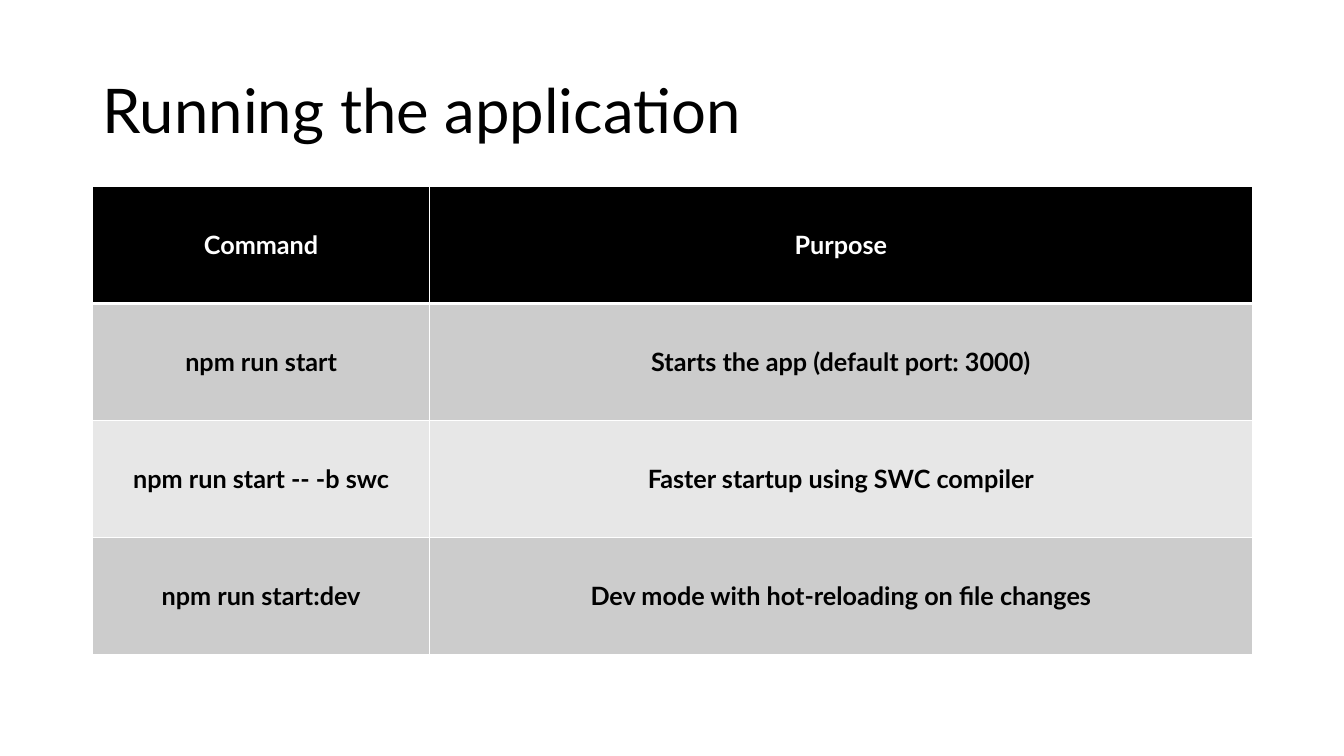
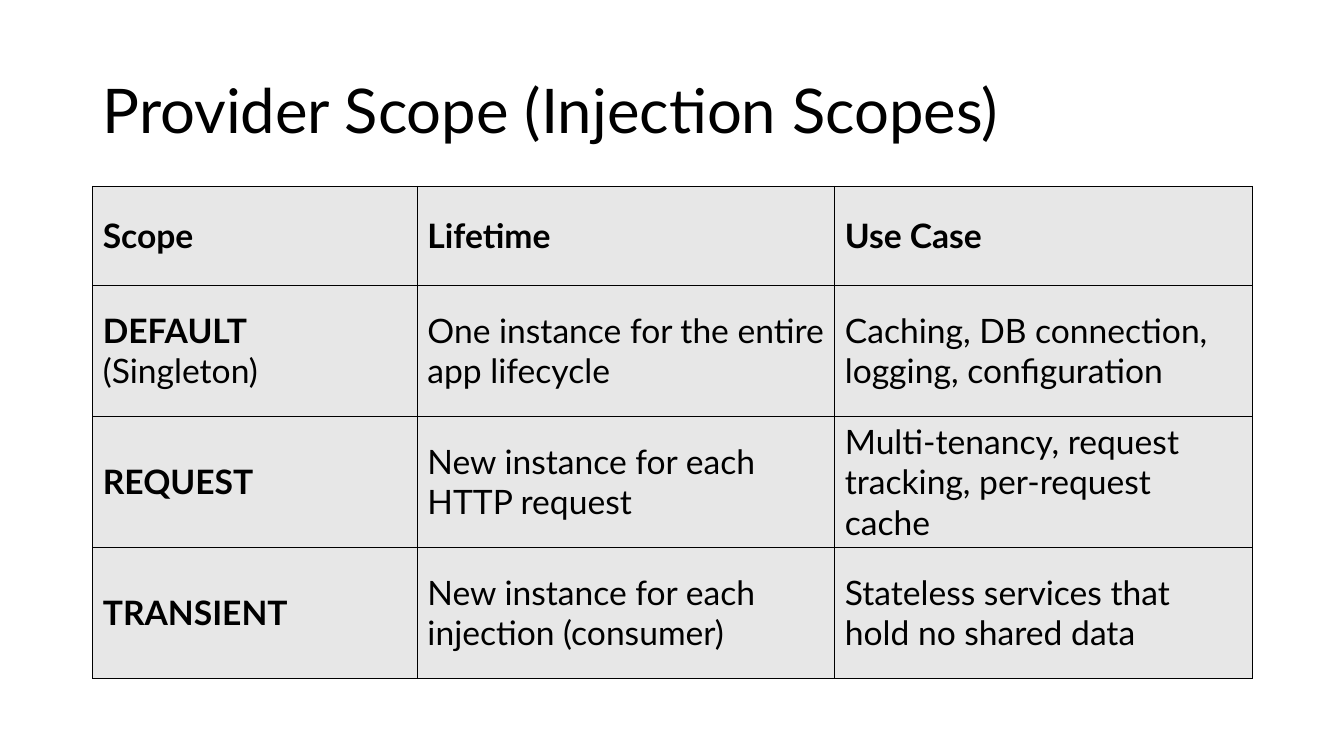
from dataclasses import dataclass

from lxml import etree
from pptx import Presentation
from pptx.dml.color import RGBColor
from pptx.enum import text
from pptx.oxml import ns
from pptx.util import Inches, Pt

FONT = "Lato"
BLACK, WHITE = "000000", "FFFFFF"
GRAY, LIGHT_GRAY = "CCCCCC", "E7E7E7"
LEFT, WIDTH = 0.92, 11.5
TITLE_TOP, TITLE_HEIGHT = 0.4, 1.45
TABLE_TOP = TITLE_TOP + TITLE_HEIGHT

COMMANDS = [
    ("Command", "Purpose"),
    ("npm run start", "Starts the app (default port: 3000)"),
    ("npm run start -- -b swc", "Faster startup using SWC compiler"),
    ("npm run start:dev", "Dev mode with hot-reloading on file changes"),
]
SCOPES = [
    ("Scope", "Lifetime", "Use Case"),
    ("DEFAULT| (Singleton)", "One instance for the entire app lifecycle",
     "Caching, DB connection, logging, configuration"),
    ("REQUEST", "New instance for each HTTP request",
     "Multi-tenancy, request tracking, per-request cache"),
    ("TRANSIENT", "New instance for each injection (consumer)",
     "Stateless services that hold no shared data"),
]


@dataclass
class TableStyle:
    size: int
    alignment: text.PP_ALIGN
    border: str
    fills: list
    header_color: str = BLACK
    header_rule: int = 1
    all_bold: bool = False
    margins: tuple = (0.1, 0.05)


COMMAND_STYLE = TableStyle(18, text.PP_ALIGN.CENTER, WHITE,
                           [BLACK, GRAY, LIGHT_GRAY, GRAY],
                           header_color=WHITE, header_rule=3,
                           all_bold=True, margins=(0.31, 0.21))
SCOPE_STYLE = TableStyle(24, text.PP_ALIGN.LEFT, BLACK, [LIGHT_GRAY] * 4)


def rgb(value):
    return RGBColor.from_string(value)


def add_run(paragraph, words, size, color, bold=False):
    run = paragraph.add_run()
    run.text = words
    run.font.name = FONT
    run.font.size = Pt(size)
    run.font.bold = bold
    run.font.color.rgb = rgb(color)


def add_title(slide, words):
    shape = slide.shapes.add_textbox(Inches(LEFT), Inches(TITLE_TOP),
                                     Inches(WIDTH), Inches(TITLE_HEIGHT))
    frame = shape.text_frame
    frame.word_wrap = True
    frame.vertical_anchor = text.MSO_ANCHOR.MIDDLE
    paragraph = frame.paragraphs[0]
    paragraph.line_spacing = 0.9
    add_run(paragraph, words, 44, BLACK)


def set_borders(cell, color, top, bottom):
    properties = cell._tc.get_or_add_tcPr()
    for side, width in (("L", 1), ("R", 1), ("T", top), ("B", bottom)):
        line = etree.SubElement(properties, ns.qn(f"a:ln{side}"), w=str(Pt(width)))
        fill = etree.SubElement(line, ns.qn("a:solidFill"))
        etree.SubElement(fill, ns.qn("a:srgbClr"), val=color)


def fill_cell(cell, words, row, column, style):
    set_borders(cell, style.border,
                style.header_rule if row == 1 else 1,
                style.header_rule if row == 0 else 1)
    cell.fill.solid()
    cell.fill.fore_color.rgb = rgb(style.fills[row])
    cell.vertical_anchor = text.MSO_ANCHOR.MIDDLE
    side, end = style.margins
    cell.margin_left = cell.margin_right = Inches(side)
    cell.margin_top = cell.margin_bottom = Inches(end)
    paragraph = cell.text_frame.paragraphs[0]
    paragraph.alignment = style.alignment
    color = style.header_color if row == 0 else BLACK
    for index, part in enumerate(words.split("|")):
        emphasized = row == 0 or (column == 0 and index == 0)
        add_run(paragraph, part, style.size, color, style.all_bold or emphasized)


def add_table(slide, rows, widths, heights, style):
    shape = slide.shapes.add_table(len(rows), len(widths), Inches(LEFT), Inches(TABLE_TOP),
                                   Inches(sum(widths)), Inches(sum(heights)))
    table = shape.table
    table.first_row = table.horz_banding = False
    for column, width in zip(table.columns, widths):
        column.width = Inches(width)
    for row, height in zip(table.rows, heights):
        row.height = Inches(height)
    for row, entries in enumerate(rows):
        for column, words in enumerate(entries):
            fill_cell(table.cell(row, column), words, row, column, style)


def add_table_slide(presentation, title, rows, widths, heights, style):
    slide = presentation.slides.add_slide(presentation.slide_layouts[6])
    add_title(slide, title)
    add_table(slide, rows, widths, heights, style)


def main():
    presentation = Presentation()
    presentation.slide_width = Inches(13.33)
    presentation.slide_height = Inches(7.5)
    add_table_slide(presentation, "Running the application", COMMANDS,
                    [3.34, 8.16], [1.16] * 4, COMMAND_STYLE)
    add_table_slide(presentation, "Provider Scope (Injection Scopes)", SCOPES,
                    [3.22, 4.14, 4.14], [0.98] + [1.3] * 3, SCOPE_STYLE)
    presentation.save("out.pptx")


if __name__ == "__main__":
    main()
